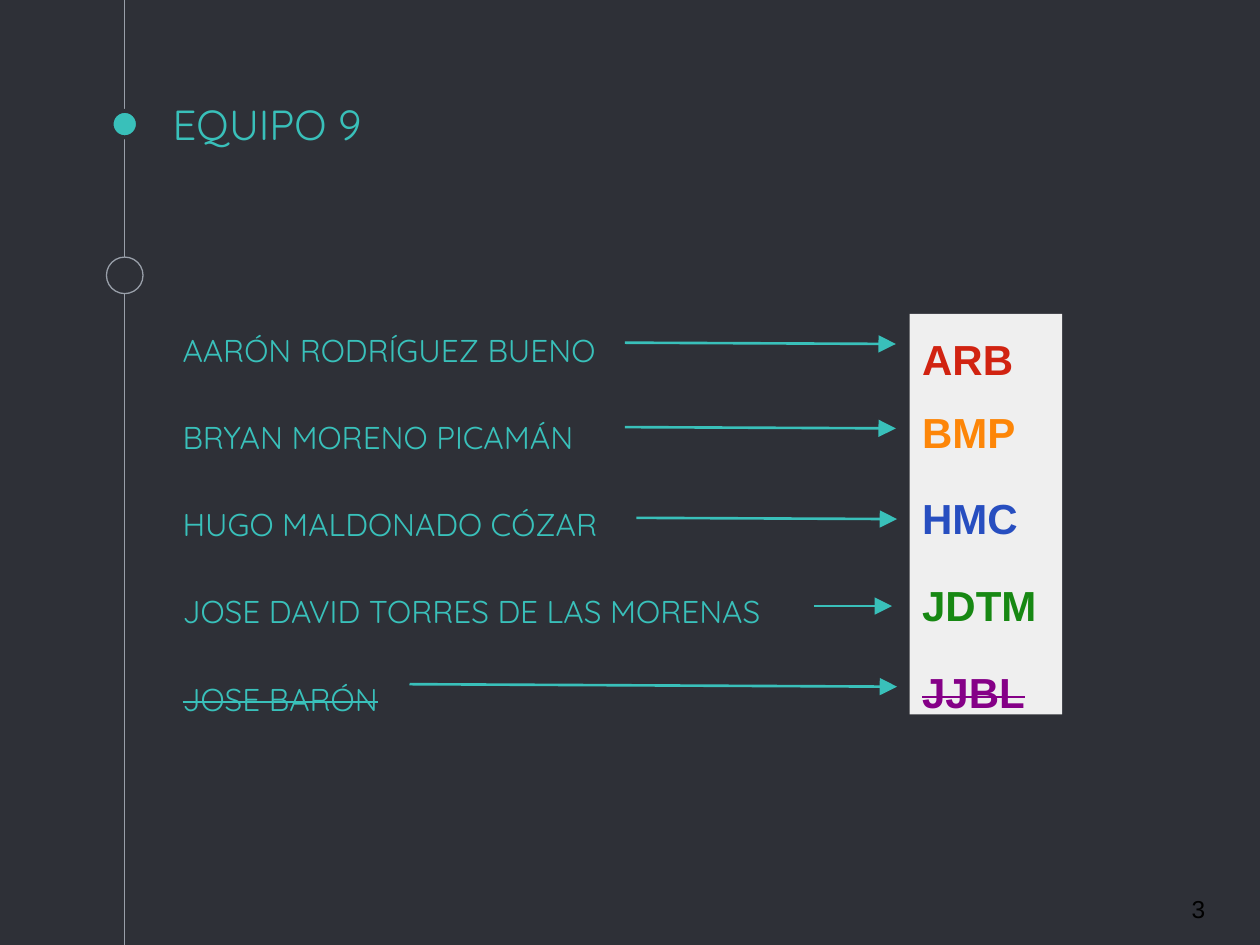
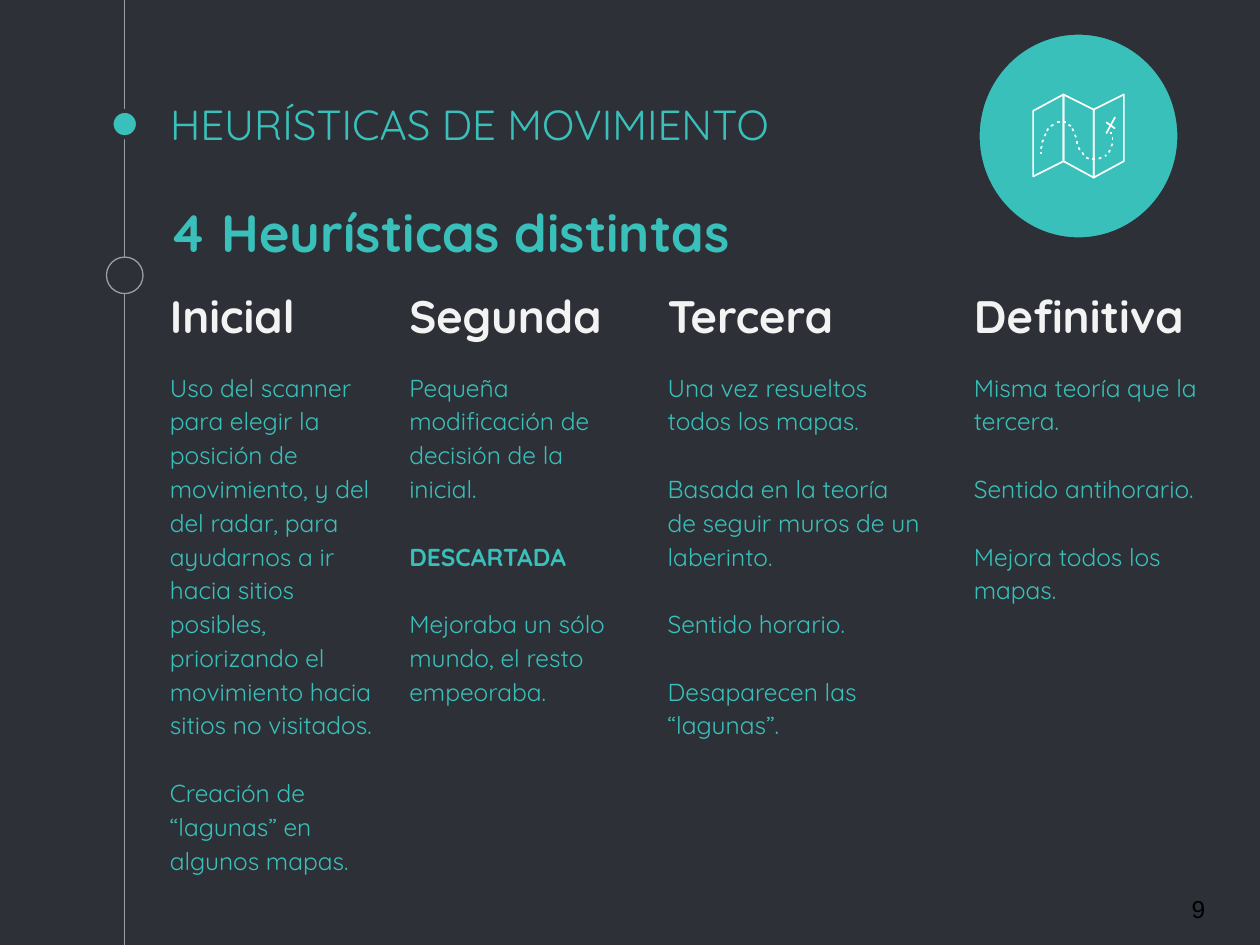
from lxml.etree import SubElement
from pptx import Presentation
from pptx.dml.color import RGBColor
from pptx.enum.shapes import MSO_CONNECTOR, MSO_SHAPE
from pptx.enum.text import MSO_ANCHOR, MSO_AUTO_SIZE, PP_ALIGN
from pptx.oxml.ns import qn
from pptx.util import Inches, Pt

DARK, TEAL, GREY, WHITE = "2E3037", "39C0BA", "999FA9", "FFFFFF"
DISPLAY = "Quicksand"

MEMBERS = [
    ("AARÓN RODRÍGUEZ BUENO", "ARB", "D12311", 0),
    ("BRYAN MORENO PICAMÁN", "BMP", "FD8608", 8.2),
    ("HUGO MALDONADO CÓZAR", "HMC", "274EC0", 16.4),
    ("JOSE DAVID TORRES DE LAS MORENAS", "JDTM", "178813", 16.4),
    ("JOSE BARÓN", "JJBL", "850087", 16.4),
]
DISCARDED = "JOSE BARÓN"
ARROWS = [
    (4.96, 2.72, 7.11, 2.73),
    (4.96, 3.39, 7.11, 3.4),
    (5.05, 4.11, 7.12, 4.12),
    (6.46, 4.81, 7.08, 4.81),
    (3.25, 5.43, 7.12, 5.45),
]

HEURISTICS = [
    ("Inicial", 1.25, 2, [
        "Uso del scanner para elegir la posición de movimiento, y del del radar, "
        "para ayudarnos a ir hacia sitios posibles, priorizando el movimiento "
        "hacia sitios no visitados.",
        "Creación de “lagunas” en algunos mapas."]),
    ("Segunda", 3.15, 1.84, [
        "Pequeña modificación de decisión de la inicial.",
        "DESCARTADA",
        "Mejoraba un sólo mundo, el resto empeoraba."]),
    ("Tercera", 5.2, 2.22, [
        "Una vez resueltos todos los mapas.",
        "Basada en la teoría de seguir muros de un laberinto.",
        "Sentido horario.",
        "Desaparecen las “lagunas”."]),
    ("Definitiva", 7.63, 2.28, [
        "Misma teoría que la tercera.",
        "Sentido antihorario.",
        "Mejora todos los mapas."]),
]

MAP_PANELS = [
    [(0.68, 0.49), (0.44, 0.62), (0.44, 1.14), (0.68, 1.02)],
    [(0.92, 0.61), (0.68, 0.49), (0.68, 1.02), (0.92, 1.15)],
    [(1.16, 0.49), (0.92, 0.61), (0.92, 1.15), (1.16, 1.02)],
]
MAP_CROSS = [[(1.02, 0.71), (1.09, 0.76)], [(1.09, 0.67), (1.02, 0.8)]]
MAP_ROUTE = [
    [(0.5, 0.96), (0.5, 0.95)], [(0.5, 0.92), (0.51, 0.9)],
    [(0.51, 0.87), (0.52, 0.85)], [(0.53, 0.82), (0.54, 0.8)],
    [(0.55, 0.78), (0.56, 0.76)], [(0.58, 0.74), (0.6, 0.73)],
    [(0.63, 0.71), (0.65, 0.71)], [(0.68, 0.71), (0.7, 0.71)],
    [(0.72, 0.73), (0.74, 0.74)], [(0.75, 0.76), (0.76, 0.78)],
    [(0.77, 0.81), (0.78, 0.83)], [(0.79, 0.86), (0.79, 0.88)],
    [(0.8, 0.91), (0.81, 0.93)], [(0.83, 0.95), (0.84, 0.97)],
    [(0.86, 0.99), (0.88, 1)], [(0.91, 1), (0.93, 1)],
    [(0.96, 1), (0.98, 0.99)], [(1.01, 0.98), (1.02, 0.97)],
    [(1.04, 0.95), (1.05, 0.93)], [(1.06, 0.9), (1.07, 0.88)],
    [(1.07, 0.85), (1.07, 0.83)], [(1.06, 0.8), (1.06, 0.79)],
]


def color(value):
    return RGBColor.from_string(value)


def write(frame, text, size=14, font=DISPLAY, ink=TEAL, bold=False,
          strike=False, spacing=1.0, before=0):
    paragraph = frame.paragraphs[0] if not frame.text else frame.add_paragraph()
    paragraph.alignment = PP_ALIGN.LEFT
    paragraph.line_spacing = spacing
    paragraph.space_before = Pt(before)
    run = paragraph.add_run()
    run.text = text
    run.font.size, run.font.name, run.font.bold = Pt(size), font, bold
    run.font.color.rgb = color(ink)
    if strike:
        run._r.get_or_add_rPr().set("strike", "sngStrike")


def set_frame(frame, anchor=MSO_ANCHOR.TOP):
    frame.word_wrap = True
    frame.auto_size = MSO_AUTO_SIZE.NONE
    frame.vertical_anchor = anchor
    frame.margin_left = frame.margin_right = Inches(0.1)
    frame.margin_top = frame.margin_bottom = Inches(0.1)
    return frame


def text_area(slide, left, top, width, height, anchor=MSO_ANCHOR.TOP):
    area = slide.shapes.add_textbox(
        Inches(left), Inches(top), Inches(width), Inches(height))
    return set_frame(area.text_frame, anchor)


def add_block(slide, kind, left, top, width, height, fill, line=None, weight=0.75):
    block = slide.shapes.add_shape(
        kind, Inches(left), Inches(top), Inches(width), Inches(height))
    block.shadow.inherit = False
    block.fill.solid()
    block.fill.fore_color.rgb = color(fill)
    if line:
        block.line.color.rgb = color(line)
        block.line.width = Pt(weight)
    else:
        block.line.fill.background()
    return block


def add_line(slide, x1, y1, x2, y2, ink, weight, arrow=False):
    line = slide.shapes.add_connector(
        MSO_CONNECTOR.STRAIGHT, Inches(x1), Inches(y1), Inches(x2), Inches(y2))
    line.line.color.rgb = color(ink)
    line.line.width = Pt(weight)
    if arrow:
        SubElement(line.line._get_or_add_ln(), qn("a:tailEnd"),
                   type="triangle", w="lg", len="lg")
    SubElement(line._element.spPr, qn("a:effectLst"))


def add_outline(slide, left, top, points, closed=False):
    places = [(Inches(left + x), Inches(top + y)) for x, y in points]
    builder = slide.shapes.build_freeform(*places[0])
    builder.add_line_segments(places[1:], close=closed)
    outline = builder.convert_to_shape()
    outline.shadow.inherit = False
    outline.fill.background()
    outline.line.color.rgb = color(WHITE)
    outline.line.width = Pt(0.96)


def draw_timeline(slide, center):
    add_line(slide, center, 0, center, 7.5, GREY, 0.75)
    for top, size, fill, line, weight in [
        (0.88, 0.21, TEAL, DARK, 2.25),
        (2.04, 0.29, DARK, GREY, 0.75),
    ]:
        add_block(slide, MSO_SHAPE.OVAL, center - size / 2, top, size, size,
                  fill, line, weight)


def start_slide(deck, heading, number, heading_left=1.25):
    slide = deck.slides.add_slide(deck.slide_layouts[5])
    slide.background.fill.solid()
    slide.background.fill.fore_color.rgb = color(DARK)
    draw_timeline(slide, 0.99)
    title = slide.shapes.title
    title.left, title.top = Inches(heading_left), Inches(0.78)
    title.width, title.height = Inches(7.5), Inches(0.5)
    write(set_frame(title.text_frame, MSO_ANCHOR.BOTTOM), heading, size=24)
    page = text_area(slide, 9.36, 6.93, 0.6, 0.57, MSO_ANCHOR.MIDDLE)
    write(page, number, font="Arial", ink="000000")
    return slide


def draw_names(slide, left, top, width, height):
    names = text_area(slide, left, top, width, height)
    for i, (name, *_) in enumerate(MEMBERS):
        write(names, name, size=18, spacing=1.15, before=25 if i else 0,
              strike=name == DISCARDED)


def draw_initials(slide, left, top, width, height):
    panel = add_block(slide, MSO_SHAPE.RECTANGLE, left, top, width, height, "EFEFEF")
    frame = set_frame(panel.text_frame)
    for name, initials, ink, gap in MEMBERS:
        write(frame, initials, size=24, font="Arial", ink=ink, bold=True,
              spacing=1.15, before=gap, strike=name == DISCARDED)


def draw_heuristic(slide, left, top, width, height, heading, notes):
    column = text_area(slide, left, top, width, height)
    write(column, heading, size=26, ink="F3F3F3", bold=True)
    for i, note in enumerate(notes):
        write(column, note, spacing=1.15, before=19.3 if i else 14.4,
              bold=note.isupper())


def draw_map_badge(slide, left, top, width, height):
    add_block(slide, MSO_SHAPE.OVAL, left, top, width, height, TEAL, DARK, 2.25)
    for panel in MAP_PANELS:
        add_outline(slide, left, top, panel, closed=True)
    for stroke in MAP_CROSS + MAP_ROUTE:
        add_outline(slide, left, top, stroke)


def build_team(deck):
    slide = start_slide(deck, "EQUIPO 9", "3", heading_left=1.27)
    draw_names(slide, 1.35, 2.48, 5.08, 2.53)
    draw_initials(slide, 7.22, 2.49, 1.21, 3.18)
    for ends in ARROWS:
        add_line(slide, *ends, TEAL, 1.5, arrow=True)


def build_heuristics(deck):
    slide = start_slide(deck, "HEURÍSTICAS DE MOVIMIENTO", "9")
    subtitle = text_area(slide, 1.25, 1.4, 7.76, 0.79, MSO_ANCHOR.BOTTOM)
    write(subtitle, "4 Heurísticas distintas", size=30, bold=True)
    for heading, left, width, notes in HEURISTICS:
        draw_heuristic(slide, left, 2.19, width, 4.73, heading, notes)
    draw_map_badge(slide, 7.76, 0.26, 1.6, 1.64)


def main():
    deck = Presentation()
    deck.slide_width, deck.slide_height = Inches(10), Inches(7.5)
    build_team(deck)
    build_heuristics(deck)
    deck.save("out.pptx")


if __name__ == "__main__":
    main()
